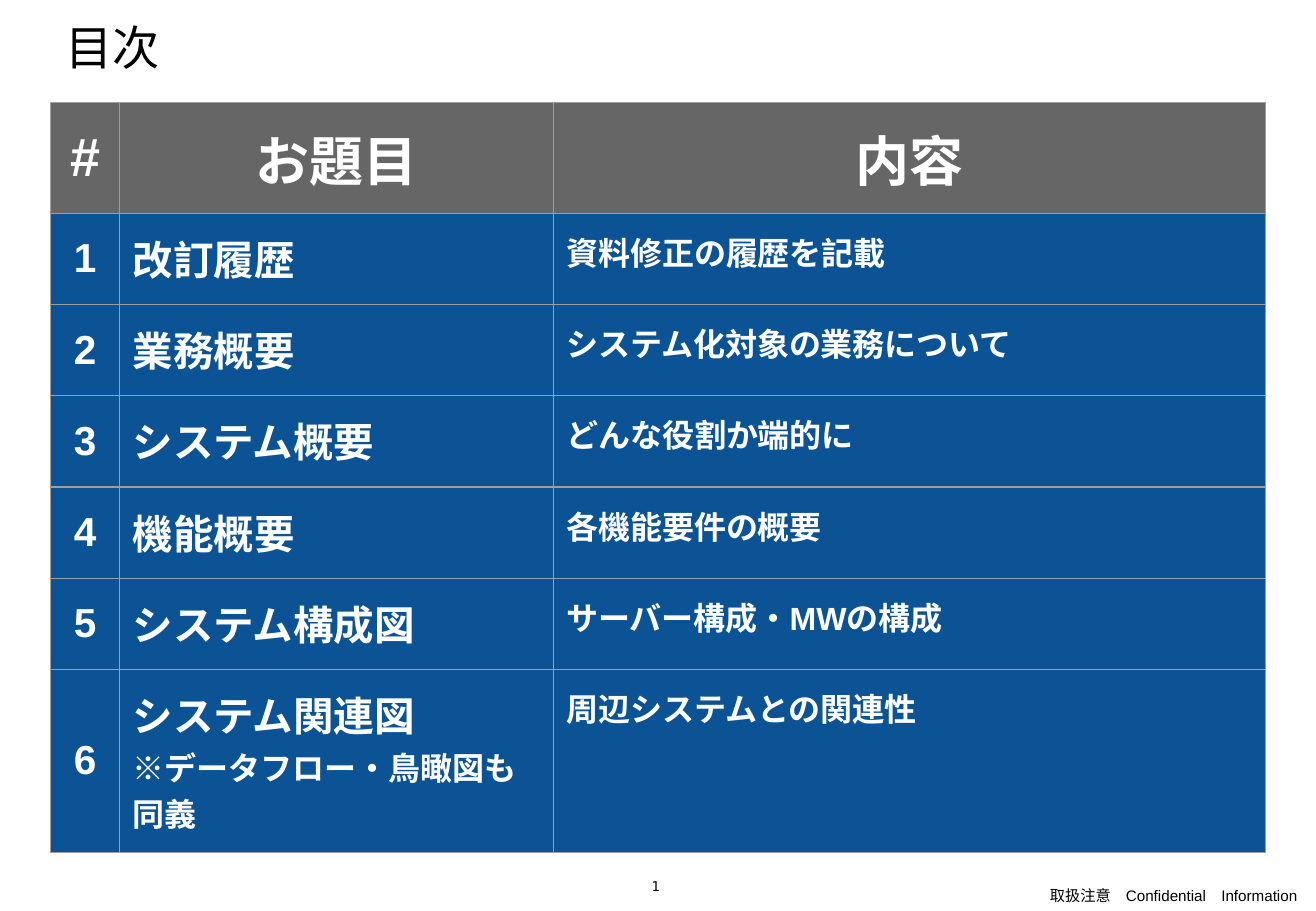
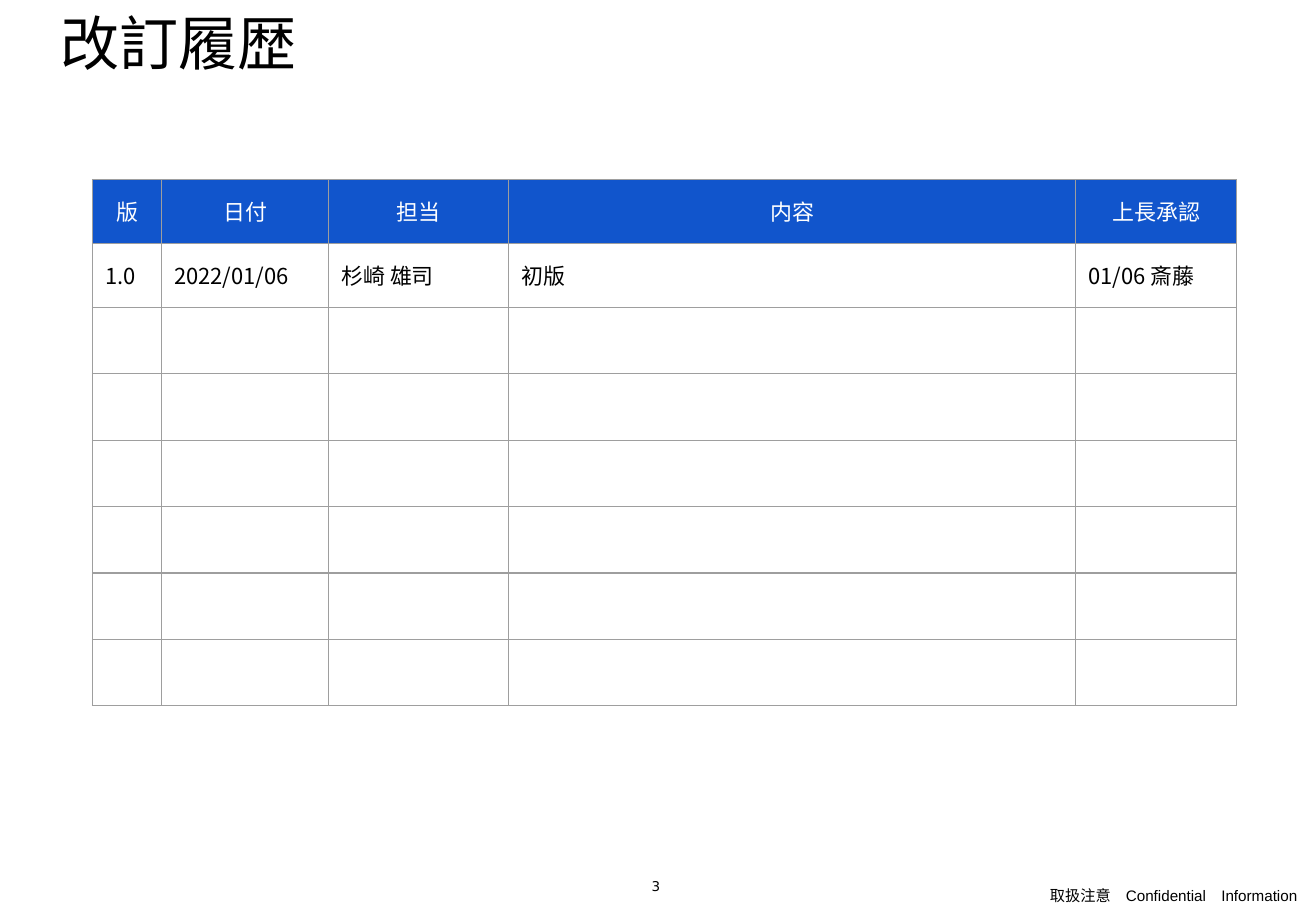
from lxml import etree
from pptx import Presentation, util as u
from pptx.dml.color import RGBColor
from pptx.enum import text
from pptx.oxml import ns

HUES = {"ink": "000000", "white": "FFFFFF", "gray": "666666",
        "navy": "0B5394", "blue": "1155CC", "rule": "9E9E9E"}
MID, TOP = text.MSO_ANCHOR.MIDDLE, text.MSO_ANCHOR.TOP
CENTER, LEFT = text.PP_ALIGN.CENTER, text.PP_ALIGN.LEFT
CJK = "Noto Sans CJK JP"


class Deck:
    """Hold the shared style and the current slide."""

    def __init__(self):
        self.prs = Presentation()
        self.prs.slide_width, self.prs.slide_height = u.Pt(780), u.Pt(540)

    def page(self, num):
        self.slide = self.prs.slides.add_slide(self.prs.slide_layouts[6])
        self.label(num, (303, 517, 171.4, 20), 8, "DejaVu Sans")
        self.label("取扱注意　Confidential　Information",
                   (610.6, 522, 170, 18), 9, "Arial")

    def style(self, para, size, face, hue="ink", bold=False, align=LEFT):
        para.alignment = align
        for run in para.runs:
            font = run.font
            font.size, font.name, font.bold = u.Pt(size), face, bold
            font.color.rgb = RGBColor.from_string(HUES[hue])
            east = etree.SubElement(run._r.get_or_add_rPr(), ns.qn("a:ea"))
            east.set("typeface", CJK)

    def label(self, words, box, size, face, align=CENTER, pad=(7.2, 3.6)):
        frame = self.slide.shapes.add_textbox(*map(u.Pt, box)).text_frame
        frame.word_wrap = True
        frame.margin_left = frame.margin_right = u.Pt(pad[0])
        frame.margin_top = frame.margin_bottom = u.Pt(pad[1])
        frame.text = words
        self.style(frame.paragraphs[0], size, face, align=align)
        return frame

    def title(self, words, box, size):
        frame = self.label(words, box, size, "Roboto", LEFT, (8.8, 8.8))
        frame.paragraphs[0].line_spacing = 0.9

    def edge(self, cell):
        props = cell._tc.get_or_add_tcPr()
        for side in ("lnL", "lnR", "lnT", "lnB"):
            line = etree.SubElement(props, ns.qn("a:" + side), w=str(u.Pt(0.75)))
            fill = etree.SubElement(line, ns.qn("a:solidFill"))
            etree.SubElement(fill, ns.qn("a:srgbClr"), val=HUES["rule"])

    def table(self, left, top, cols, rows, cells, look):
        box = map(u.Pt, (left, top, sum(cols), sum(rows)))
        grid = self.slide.shapes.add_table(len(rows), len(cols), *box).table
        grid.first_row = grid.horz_banding = False
        for col, wide in zip(grid.columns, cols):
            col.width = u.Pt(wide)
        for row, high in zip(grid.rows, rows):
            row.height = u.Pt(high)
        for r in range(len(rows)):
            for c in range(len(cols)):
                cell = grid.cell(r, c)
                fill, anchor, sizes, style = look(r, c)
                self.edge(cell)
                if fill:
                    cell.fill.solid()
                    cell.fill.fore_color.rgb = RGBColor.from_string(HUES[fill])
                else:
                    cell.fill.background()
                if r >= len(cells):
                    continue
                cell.vertical_anchor = anchor
                cell.margin_left = cell.margin_right = u.Pt(7.6)
                cell.margin_top = cell.margin_bottom = u.Pt(9)
                cell.text_frame.text = cells[r][c]
                for para, size in zip(cell.text_frame.paragraphs, sizes):
                    self.style(para, size, **style)


def topic(r, c):
    head = r == 0
    mid = head or c == 0
    sizes = (32,) if head else ((24,), (24, 19), (19,))[c]
    style = dict(face="Arial", hue="white", bold=True,
                 align=CENTER if mid else LEFT)
    return "gray" if head else "navy", MID if mid else TOP, sizes, style


def log(r, c):
    head = r == 0
    style = dict(face=CJK, hue="white" if head else "ink",
                 align=CENTER if head else LEFT)
    return "blue" if head else None, TOP, (13,), style


def main():
    deck = Deck()

    deck.page("1")
    deck.title("目次", (30, 6, 584, 42), 28)
    topics = [
        ("改訂履歴", "資料修正の履歴を記載"),
        ("業務概要", "システム化対象の業務について"),
        ("システム概要", "どんな役割か端的に"),
        ("機能概要", "各機能要件の概要"),
        ("システム構成図", "サーバー構成・MWの構成"),
        ("システム関連図\n※データフロー・鳥瞰図も同義", "周辺システムとの関連性"),
    ]
    cells = [("#", "お題目", "内容")]
    cells += [(str(n), *pair) for n, pair in enumerate(topics, 1)]
    deck.table(30, 60.8, (41, 257, 422), [65.6] + [54.1] * 5 + [108.4],
               cells, topic)

    deck.page("3")
    deck.title("改訂履歴", (26.8, 0, 574, 50), 35)
    cells = [("版", "日付", "担当", "内容", "上長承認"),
             ("1.0", "2022/01/06", "杉崎 雄司", "初版", "01/06 斎藤")]
    deck.table(54.8, 106.6, (41, 99, 106.6, 336.2, 95.5),
               [37.8] * 2 + [39.4] * 6, cells, log)

    deck.prs.save("out.pptx")


if __name__ == "__main__":
    main()
